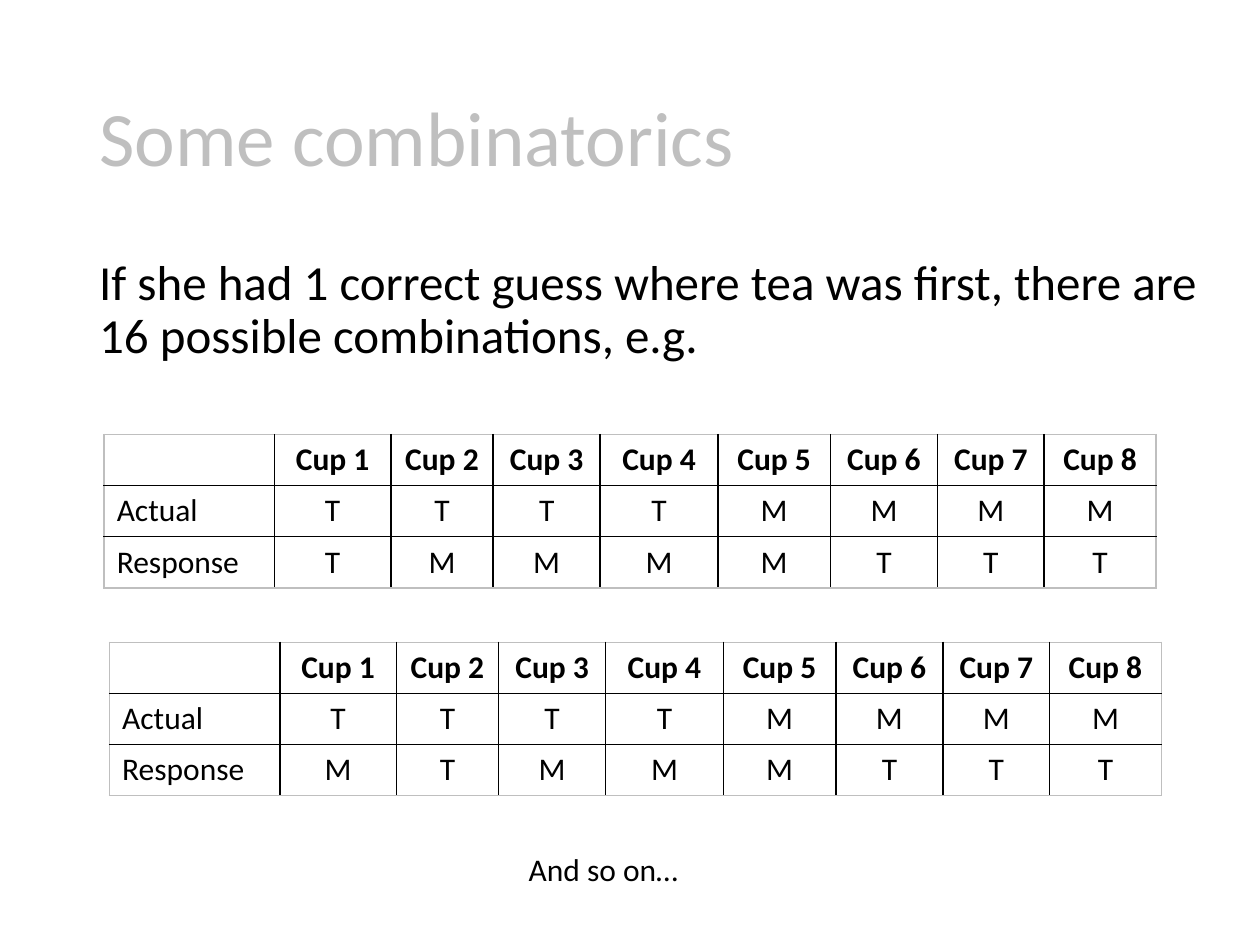
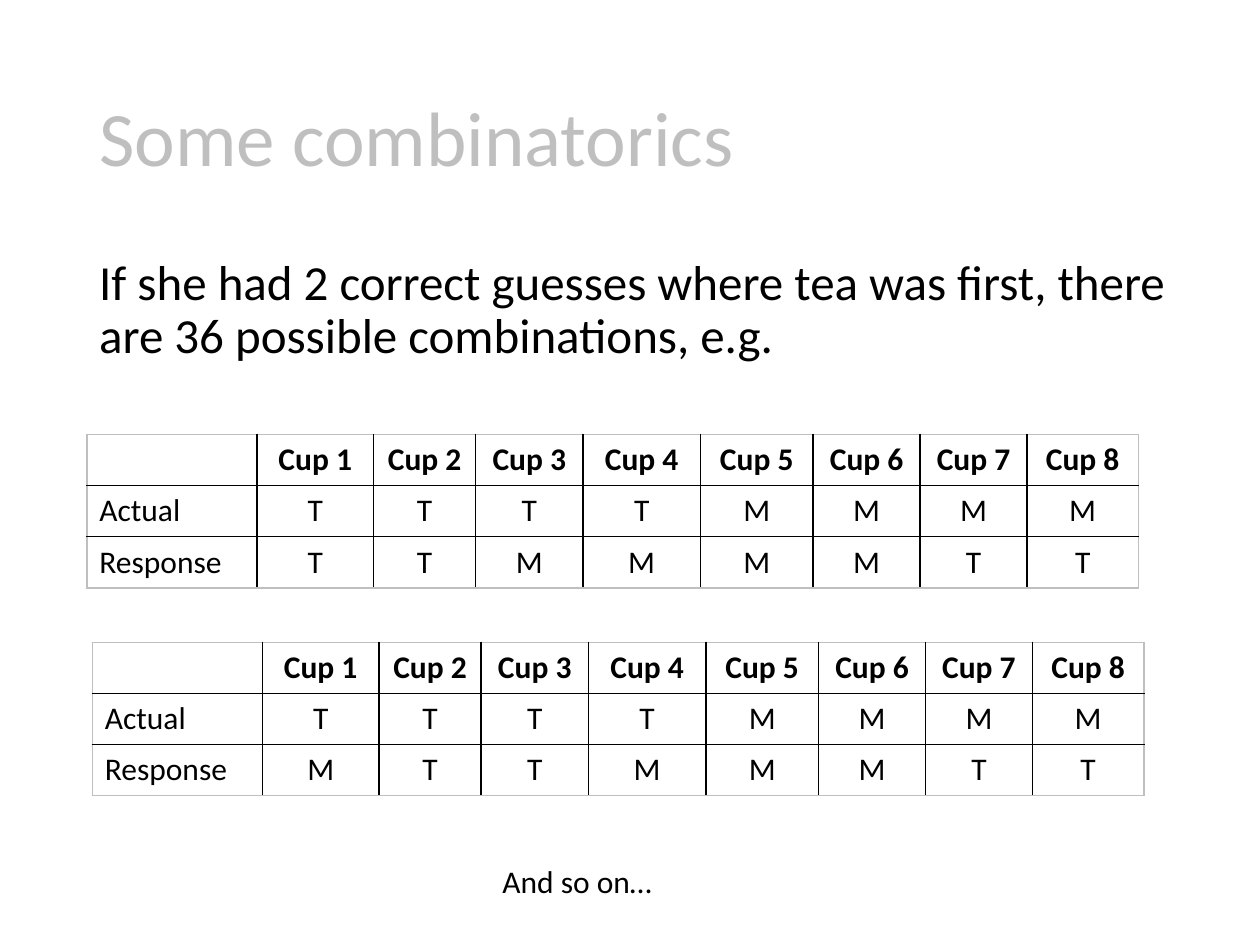
from dataclasses import dataclass

from lxml import etree
from pptx import Presentation
from pptx.dml.color import RGBColor
from pptx.enum.text import MSO_ANCHOR, PP_ALIGN
from pptx.oxml.ns import qn
from pptx.slide import Slide
from pptx.table import _Cell
from pptx.text.text import _Paragraph
from pptx.util import Cm, Length, Pt

LEFT, CENTER, RIGHT = PP_ALIGN.LEFT, PP_ALIGN.CENTER, PP_ALIGN.RIGHT
TOP, MIDDLE = MSO_ANCHOR.TOP, MSO_ANCHOR.MIDDLE

BLACK = RGBColor(0x00, 0x00, 0x00)
GRAY = RGBColor(0xBF, 0xBF, 0xBF)
FONT = "Calibri"
BORDER_WIDTH = Pt(1)

HEADINGS = ["", *(f"Cup {number}" for number in range(1, 9))]
ACTUAL = "TTTTMMMM"
COLUMN_WIDTHS = [Cm(w) for w in (3.43, 2.35, 2.06, 2.16, 2.37, 2.27, 2.16, 2.15, 2.25)]
ROW_HEIGHT = Cm(1.03)
TABLE_TOPS = (Cm(8.76), Cm(12.95))
TABLE_SHIFT = Cm(0.11)


@dataclass(frozen=True)
class TextStyle:
    size: float
    color: RGBColor = BLACK
    bold: bool = False
    align: PP_ALIGN = LEFT
    anchor: MSO_ANCHOR = TOP
    line_spacing: float = 1.0
    space_before: float = 0


TITLE = TextStyle(44, GRAY, anchor=MIDDLE, line_spacing=0.9)
STATEMENT = TextStyle(28, line_spacing=0.9, space_before=10)
CLOSING = TextStyle(18, align=RIGHT)
HEADING = TextStyle(18, bold=True, align=CENTER)
ROW_LABEL = TextStyle(18)
GUESS = TextStyle(18, align=CENTER)


@dataclass(frozen=True)
class Box:
    left: Length
    top: Length
    width: Length
    height: Length


TITLE_BOX = Box(Cm(1.75), Cm(1.02), Cm(21.9), Cm(3.68))
STATEMENT_BOX = Box(Cm(1.75), Cm(5.08), Cm(23.27), Cm(12.09))


@dataclass(frozen=True)
class Example:
    statement: str
    responses: tuple[str, str]
    table_left: Length
    closing_box: Box


EXAMPLES = [
    Example(
        "If she had 1 correct guess where tea was first, there are 16 possible combinations, e.g.",
        ("TMMMMTTT", "MTMMMTTT"),
        Cm(2.1),
        Box(Cm(3.73), Cm(17.02), Cm(10.19), Cm(1.02)),
    ),
    Example(
        "If she had 2 correct guesses where tea was first, there are 36 possible combinations, e.g.",
        ("TTMMMMTT", "MTTMMMTT"),
        Cm(1.75),
        Box(Cm(3.2), Cm(17.25), Cm(10.19), Cm(1.02)),
    ),
]


def write(paragraph: _Paragraph, text: str, style: TextStyle) -> None:
    paragraph.alignment = style.align
    paragraph.line_spacing = style.line_spacing
    paragraph.space_before = Pt(style.space_before)
    run = paragraph.add_run()
    run.text = text
    run.font.name = FONT
    run.font.size = Pt(style.size)
    run.font.bold = style.bold
    run.font.color.rgb = style.color


def add_text(slide: Slide, box: Box, text: str, style: TextStyle) -> None:
    frame = slide.shapes.add_textbox(box.left, box.top, box.width, box.height).text_frame
    frame.word_wrap = True
    frame.vertical_anchor = style.anchor
    write(frame.paragraphs[0], text, style)


def set_borders(cell: _Cell, colors: dict[str, RGBColor]) -> None:
    """Draw the cell's edges, keyed L, R, T and B in the order the schema needs."""
    properties = cell._tc.get_or_add_tcPr()
    for position, (edge, color) in enumerate(colors.items()):
        line = etree.Element(qn(f"a:ln{edge}"), w=str(BORDER_WIDTH))
        fill = etree.SubElement(line, qn("a:solidFill"))
        etree.SubElement(fill, qn("a:srgbClr"), val=str(color))
        properties.insert(position, line)


def add_cup_table(slide: Slide, left: Length, top: Length, response: str) -> None:
    rows = [HEADINGS, ["Actual", *ACTUAL], ["Response", *response]]
    last_row, last_column = len(rows) - 1, len(HEADINGS) - 1
    table = slide.shapes.add_table(
        len(rows), len(HEADINGS), left, top, sum(COLUMN_WIDTHS), ROW_HEIGHT * len(rows)
    ).table
    table.first_row = table.horz_banding = False
    for column, width in zip(table.columns, COLUMN_WIDTHS):
        column.width = width
    for r, texts in enumerate(rows):
        table.rows[r].height = ROW_HEIGHT
        for c, text in enumerate(texts):
            cell = table.cell(r, c)
            cell.fill.background()
            outer = {"L": c == 0, "R": c == last_column, "T": r == 0, "B": r == last_row}
            set_borders(cell, {edge: GRAY if out else BLACK for edge, out in outer.items()})
            if text:
                style = HEADING if r == 0 else ROW_LABEL if c == 0 else GUESS
                write(cell.text_frame.paragraphs[0], text, style)


def main() -> None:
    deck = Presentation()
    deck.slide_width, deck.slide_height = Cm(25.4), Cm(19.05)
    for example in EXAMPLES:
        slide = deck.slides.add_slide(deck.slide_layouts[6])
        add_text(slide, TITLE_BOX, "Some combinatorics", TITLE)
        add_text(slide, STATEMENT_BOX, example.statement, STATEMENT)
        for i, (top, response) in enumerate(zip(TABLE_TOPS, example.responses)):
            add_cup_table(slide, example.table_left + i * TABLE_SHIFT, top, response)
        add_text(slide, example.closing_box, "And so on…", CLOSING)
    deck.save("out.pptx")


if __name__ == "__main__":
    main()
